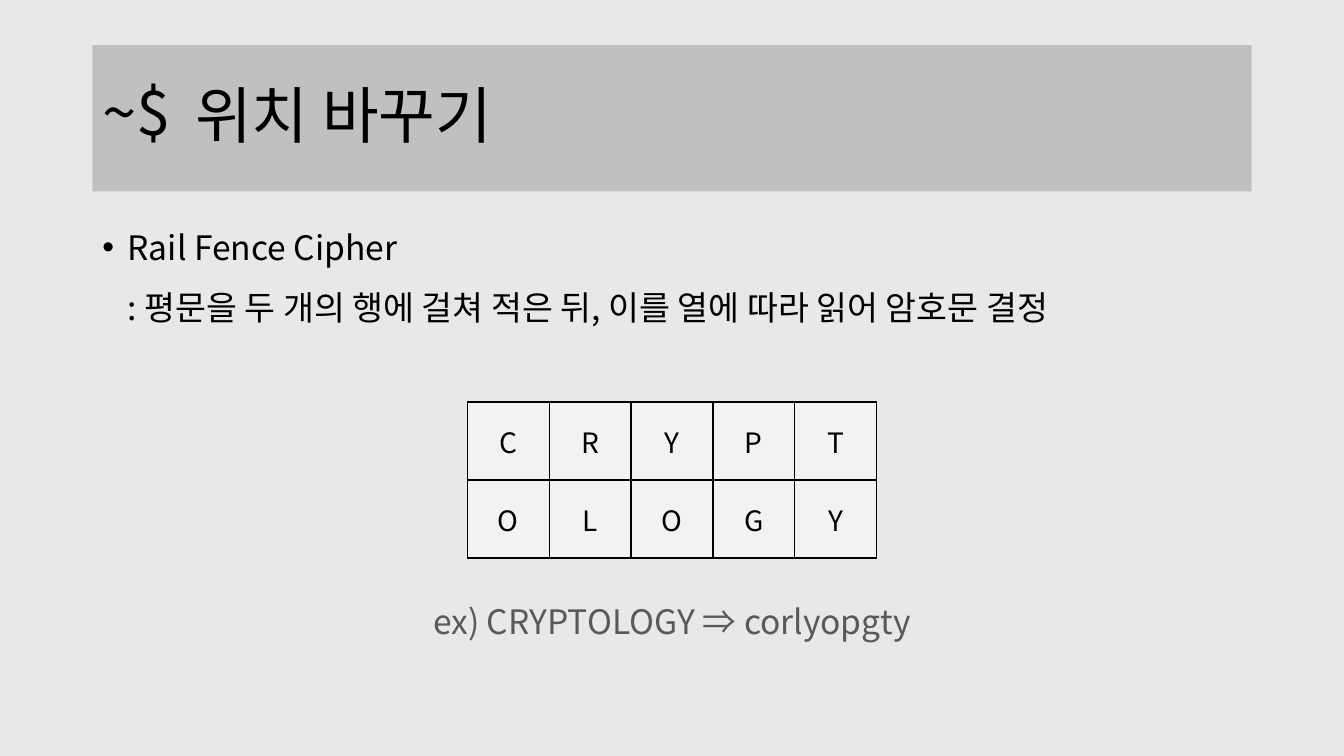
from lxml.etree import SubElement
from pptx import Presentation
from pptx.dml.color import RGBColor
from pptx.enum.text import MSO_ANCHOR, MSO_AUTO_SIZE, PP_ALIGN
from pptx.oxml.ns import qn
from pptx.util import Pt

FONT = "Noto Sans CJK KR"
BLACK, GREY, CELL, BACK = "000000", "595959", "F2F2F2", "E9E7E7"


def paint(fill, color):
    """Fill solidly with a hex colour."""
    fill.solid()
    fill.fore_color.rgb = RGBColor.from_string(color)


def write(tf, text, size, color=BLACK, **para):
    """Write one paragraph, set its format values and return it."""
    p = tf.paragraphs[0]
    p.text = text
    for name, value in para.items():
        setattr(p, name, value)
    for r in p.runs:
        paint(r.font.fill, color)
        r.font.size, r.font.name = Pt(size), FONT
        SubElement(r.font._element, qn("a:ea"), typeface=FONT)
    for br in p._p.findall(qn("a:br")):
        SubElement(br, qn("a:rPr"), sz=str(size * 100))
    return p


def place(sp, box, **frame):
    """Put a shape in its box, set its frame values and return the frame."""
    sp.left, sp.top, sp.width, sp.height = map(Pt, box)
    tf = sp.text_frame
    values = dict(word_wrap=True, auto_size=MSO_AUTO_SIZE.NONE) | frame
    for name, value in values.items():
        setattr(tf, name, value)
    return tf


def add_label(s, box, text, size, color=BLACK, **para):
    """Add a text box with one line."""
    write(place(s.shapes.add_textbox(0, 0, 0, 0), box), text, size, color, **para)


def add_title(s, box, prompt, text):
    """Place the title on a translucent band, after a shell prompt."""
    x, y, w, h = box
    sp = s.shapes.title
    tf = place(sp, box, vertical_anchor=MSO_ANCHOR.MIDDLE, margin_left=Pt(73.4))
    paint(sp.fill, BLACK)
    shade = sp._element.spPr.find(".//" + qn("a:srgbClr"))
    SubElement(shade, qn("a:alpha"), val="17000")
    write(tf, text, 44, alignment=PP_ALIGN.LEFT, line_spacing=0.9)
    add_label(s, (x, y + 17.3, 151, 60.5), prompt, 44)


def add_body(s, box, text):
    """Place the bulleted explanation."""
    tf = place(s.placeholders[1], box)
    p = write(tf, text, 24, line_spacing=1.5, space_before=Pt(10))
    pPr = p._p.get_or_add_pPr()
    pPr.set("marL", str(Pt(18)))
    pPr.set("indent", str(-Pt(18)))
    SubElement(pPr, qn("a:buFont"), typeface="Arial")
    SubElement(pPr, qn("a:buChar"), char="•")


def add_border(tcPr, side):
    """Draw one thin black cell border."""
    ln = SubElement(tcPr, qn("a:" + side), w=str(Pt(1)))
    fill = SubElement(ln, qn("a:solidFill"))
    SubElement(fill, qn("a:srgbClr"), val=BLACK)


def add_rails(s, box, rails):
    """Add the letter grid, one row for each rail."""
    frame = s.shapes.add_table(len(rails), len(rails[0]), *map(Pt, box))
    table = frame.table
    for i, rail in enumerate(rails):
        for j, letter in enumerate(rail):
            cell = table.cell(i, j)
            cell.vertical_anchor = MSO_ANCHOR.MIDDLE
            write(cell.text_frame, letter, 20, alignment=PP_ALIGN.CENTER)
            for side in ("lnL", "lnR", "lnT", "lnB"):
                add_border(cell._tc.get_or_add_tcPr(), side)
            paint(cell.fill, CELL)


def build_cipher_slide(prs):
    """Build the rail fence cipher slide."""
    s = prs.slides.add_slide(prs.slide_layouts[1])
    paint(s.background.fill, BACK)
    add_title(s, (66, 32.3, 828, 104.4), "~$", "위치 바꾸기")
    add_body(s, (66, 144, 828, 342.7),
             "Rail Fence Cipher\v: 평문을 두 개의 행에 걸쳐 적은 뒤, 이를 열에 따라 읽어 암호문 결정")
    add_rails(s, (333.8, 287.2, 292.4, 111.4), ("CRYPT", "OLOGY"))
    add_label(s, (240, 425.7, 480, 36.4), "ex) CRYPTOLOGY ⇒ corlyopgty",
              24, GREY, alignment=PP_ALIGN.CENTER)


prs = Presentation()
prs.slide_width, prs.slide_height = Pt(960), Pt(540)
build_cipher_slide(prs)
prs.save("out.pptx")
